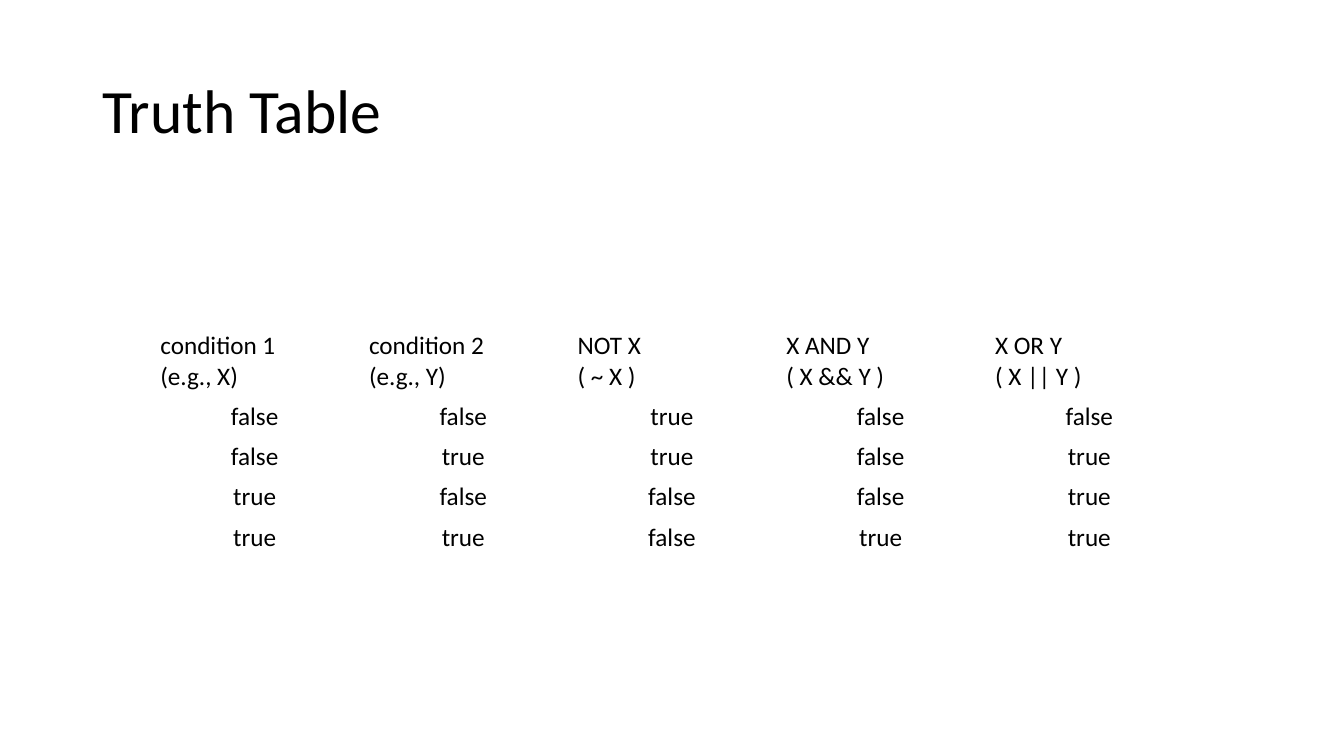
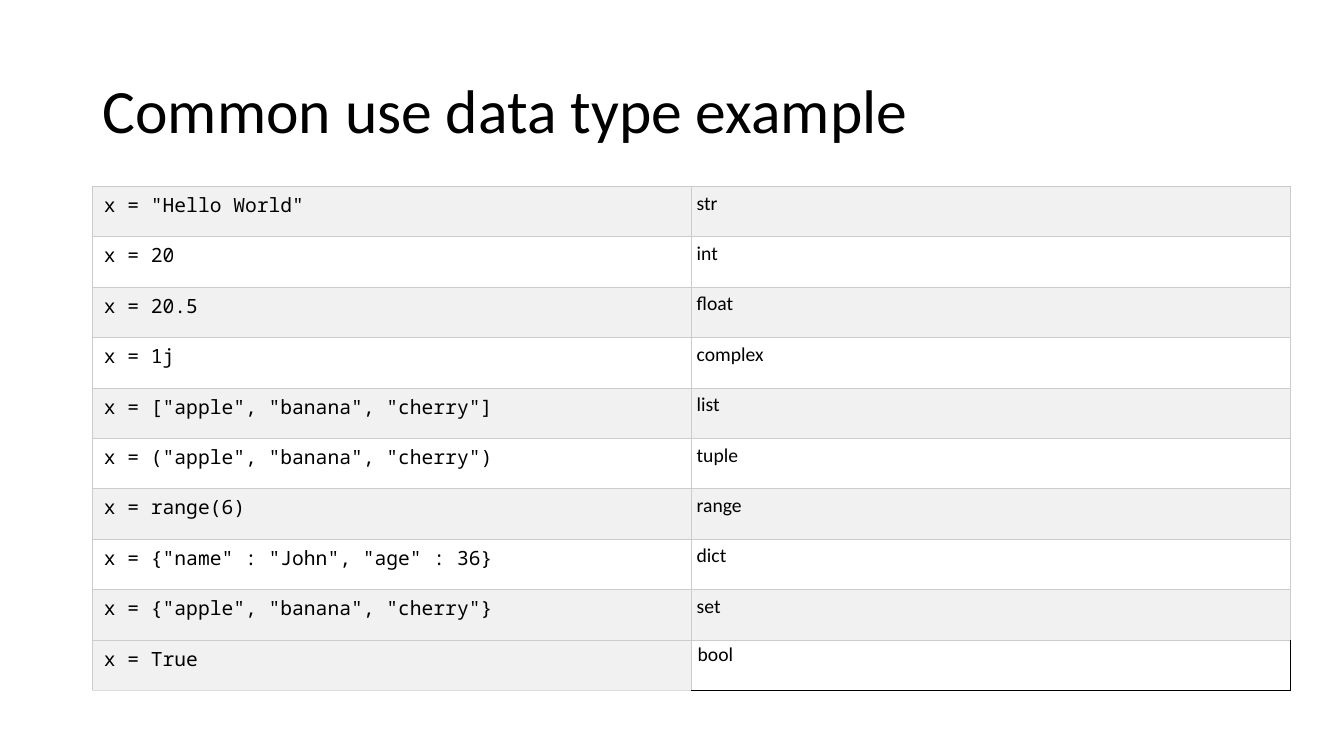
from lxml.etree import SubElement
from pptx import Presentation
from pptx.dml.color import RGBColor
from pptx.enum.text import MSO_ANCHOR as Anchor, PP_ALIGN as Align
from pptx.oxml.ns import qn
from pptx.util import Inches, Pt

COLORS = {
    "text": "000000",
    "paper": "FFFFFF",
    "band": "F1F1F1",
    "grid": "CCCCCC",
    "light_grid": "DDDDDD",
}
BODY_FONT = "Calibri"
CODE_FONT = "Noto Sans Mono"
BLANK_LAYOUT = 6

TRUTH_HEADERS = [
    "condition 1\n(e.g., X)",
    "condition 2\n(e.g., Y)",
    "NOT X\n( ~ X )",
    "X AND Y\n( X && Y )",
    "X OR Y\n( X || Y )",
]
TRUTH_ROWS = [
    ["false", "false", "true", "false", "false"],
    ["false", "true", "true", "false", "true"],
    ["true", "false", "false", "false", "true"],
    ["true", "true", "false", "true", "true"],
]
DATA_TYPES = [
    ['x = "Hello World"', "str"],
    ["x = 20", "int"],
    ["x = 20.5", "float"],
    ["x = 1j", "complex"],
    ['x = ["apple", "banana", "cherry"]', "list"],
    ['x = ("apple", "banana", "cherry")', "tuple"],
    ["x = range(6)", "range"],
    ['x = {"name" : "John", "age" : 36}', "dict"],
    ['x = {"apple", "banana", "cherry"}', "set"],
    ["x = True", "bool"],
]


def write(para, text, size, font=BODY_FONT):
    para.text = text
    for span in para.runs:
        span.font.size = Pt(size)
        span.font.name = font
        span.font.color.rgb = RGBColor.from_string(COLORS["text"])


def add_page(deck, title):
    """Add a blank slide that carries the shared title."""
    page = deck.slides.add_slide(deck.slide_layouts[BLANK_LAYOUT])
    box = page.shapes.add_textbox(Inches(0.92), Inches(0.4), Inches(11.5), Inches(1.45))
    frame = box.text_frame
    frame.word_wrap = True
    frame.vertical_anchor = Anchor.MIDDLE
    para = frame.paragraphs[0]
    para.line_spacing = 0.9
    write(para, title, 44)
    return page


def add_plain_table(page, left, top, column_width, row_heights, columns):
    """Add a table without header or banding styles."""
    frame = page.shapes.add_table(
        len(row_heights), columns, Inches(left), Inches(top),
        Inches(column_width * columns), Inches(sum(row_heights)))
    table = frame.table
    table.first_row = False
    table.horz_banding = False
    for row, height in zip(table.rows, row_heights):
        row.height = Inches(height)
    return table


def fill_cell(cell, color):
    cell.fill.solid()
    cell.fill.fore_color.rgb = RGBColor.from_string(COLORS[color])


def set_borders(cell, **changes):
    """Draw the four cell borders; changes name sides that differ from the grid."""
    properties = cell._tc.get_or_add_tcPr()
    for side in ("L", "R", "T", "B"):
        line = SubElement(properties, qn(f"a:ln{side}"), w=str(Pt(0.75)))
        fill = SubElement(line, qn("a:solidFill"))
        SubElement(fill, qn("a:srgbClr"), val=COLORS[changes.get(side, "grid")])


def set_margins(cell, left, top, right, bottom):
    cell.margin_left, cell.margin_top = Inches(left), Inches(top)
    cell.margin_right, cell.margin_bottom = Inches(right), Inches(bottom)


def add_truth_page(deck):
    page = add_page(deck, "Truth Table")
    rows = [TRUTH_HEADERS] + TRUTH_ROWS
    heights = [0.7] + [0.4] * len(TRUTH_ROWS)
    table = add_plain_table(page, 1.49, 3.23, 2.07, heights, len(TRUTH_HEADERS))
    for r, row in enumerate(rows):
        for c, text in enumerate(row):
            cell = table.cell(r, c)
            cell.vertical_anchor = Anchor.MIDDLE
            fill_cell(cell, "paper")
            para = cell.text_frame.paragraphs[0]
            para.alignment = Align.CENTER if r else Align.LEFT
            write(para, text, 18)


def add_data_type_page(deck):
    page = add_page(deck, "Common use data type example")
    last = len(DATA_TYPES) - 1
    table = add_plain_table(page, 0.92, 1.85, 5.94, [0.5] * len(DATA_TYPES), 2)
    for r, (example, type_name) in enumerate(DATA_TYPES):
        code, kind = table.cell(r, 0), table.cell(r, 1)
        write(code.text_frame.paragraphs[0], example, 14, CODE_FONT)
        write(kind.text_frame.paragraphs[0], type_name, 14)
        set_margins(code, 0.11, 0.05, 0.05, 0.05)
        if r == last:
            set_margins(kind, 0.06, 0.03, 0.06, 0.03)
            set_borders(code, B="light_grid")
            set_borders(kind, R="text", B="text")
        else:
            set_margins(kind, 0.05, 0.05, 0.05, 0.05)
            set_borders(code)
            set_borders(kind)
        band = "paper" if r % 2 else "band"
        fill_cell(code, "band" if r == last else band)
        fill_cell(kind, band)


def main():
    deck = Presentation()
    deck.slide_width, deck.slide_height = Inches(13.33), Inches(7.5)
    add_truth_page(deck)
    add_data_type_page(deck)
    deck.save("out.pptx")


if __name__ == "__main__":
    main()
